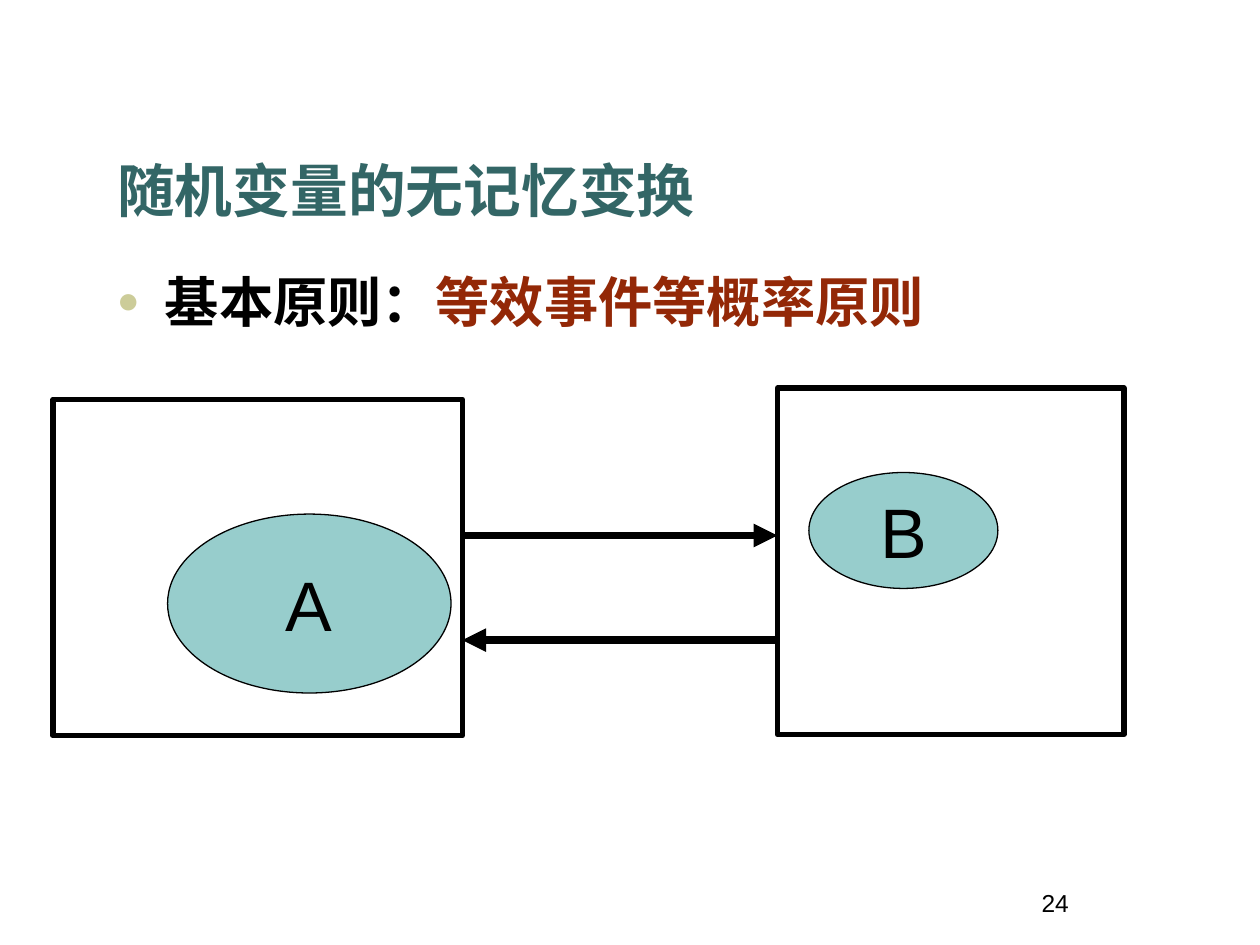
from dataclasses import dataclass

from lxml import etree
from pptx import Presentation
from pptx.dml.color import RGBColor
from pptx.enum.shapes import MSO_CONNECTOR, MSO_SHAPE
from pptx.enum.text import MSO_ANCHOR, PP_ALIGN
from pptx.oxml.ns import qn
from pptx.util import Inches, Pt

OVAL, RECT = MSO_SHAPE.OVAL, MSO_SHAPE.RECTANGLE
LINE = MSO_CONNECTOR.STRAIGHT
TOP, MID, LOW = MSO_ANCHOR.TOP, MSO_ANCHOR.MIDDLE, MSO_ANCHOR.BOTTOM
LEFT, CENTER = PP_ALIGN.LEFT, PP_ALIGN.CENTER


@dataclass(frozen=True)
class Theme:
    ink: str = "000000"
    head: str = "336666"
    key: str = "932807"
    dot: str = "CCCC99"
    oval: str = "97CDCC"
    font: str = "Arial"
    title_font: str = "Montserrat"
    title: int = 33
    body: int = 31
    label: int = 40
    page: int = 14


THEME = Theme()
TITLE = "随机变量的无记忆变换"
RULE = [("基本原则：", THEME.ink), ("等效事件等概率原则", THEME.key)]
PAGE = "24"
SETS = [("A", (1.33, 4.08, 2.25, 1.42)), ("B", (6.42, 3.75, 1.5, 0.92))]
SPACES = [(0.42, 3.17, 3.25, 2.67), (6.17, 3.08, 2.75, 2.75)]
NEAR = SPACES[0][0] + SPACES[0][2]
FAR = SPACES[1][0]
ARROWS = [(NEAR, FAR, 4.25), (FAR, NEAR, 5.08)]


def inches(box):
    return [Inches(v) for v in box]


def color(code):
    return RGBColor.from_string(code)


def write(frame, runs, size, font=THEME.font, bold=False, align=LEFT,
          anchor=TOP, wrap=True, dot=False):
    frame.word_wrap = wrap
    frame.vertical_anchor = anchor
    para = frame.paragraphs[0]
    para.alignment = align
    if dot:
        add_dot(para)
    para.font.size = Pt(size)
    para.font.name = font
    para.font.bold = bold
    for text, code in runs:
        run = para.add_run()
        run.text = text
        run.font.color.rgb = color(code)


def add_dot(para):
    props = para._p.get_or_add_pPr()
    props.set("marL", str(Inches(0.38)))
    props.set("indent", str(-Inches(0.38)))
    tint = etree.SubElement(props, qn("a:buClr"))
    etree.SubElement(tint, qn("a:srgbClr"), val=THEME.dot)
    etree.SubElement(props, qn("a:buSzPct"), val="70000")
    etree.SubElement(props, qn("a:buFont"), typeface=THEME.font)
    etree.SubElement(props, qn("a:buChar"), char="●")


def add_shape(slide, kind, box, width, fill=None):
    shape = slide.shapes.add_shape(kind, *inches(box))
    shape.shadow.inherit = False
    if fill:
        shape.fill.solid()
        shape.fill.fore_color.rgb = color(fill)
    else:
        shape.fill.background()
    shape.line.color.rgb = color(THEME.ink)
    shape.line.width = Pt(width)
    return shape


def add_arrow(slide, start, end, y):
    arrow = slide.shapes.add_connector(LINE, *inches((start, y, end, y)))
    arrow.line.color.rgb = color(THEME.ink)
    arrow.line.width = Pt(4.5)
    etree.SubElement(arrow.line._get_or_add_ln(), qn("a:tailEnd"), type="triangle")
    etree.SubElement(arrow._element.spPr, qn("a:effectLst"))


def main():
    deck = Presentation()
    deck.slide_width, deck.slide_height = inches((10, 7.5))
    slide = deck.slides.add_slide(deck.slide_layouts[5])

    title = slide.shapes.title
    title.left, title.top, title.width, title.height = inches((0.83, 0.58, 8.42, 1.25))
    write(title.text_frame, [(TITLE, THEME.head)], THEME.title,
          THEME.title_font, bold=True, anchor=LOW)

    body = slide.shapes.add_textbox(*inches((0.83, 2.08, 8.42, 4.42)))
    write(body.text_frame, RULE, THEME.body, bold=True, dot=True)

    page = slide.shapes.add_textbox(*inches((7.5, 7, 1.75, 0.5)))
    write(page.text_frame, [(PAGE, THEME.ink)], THEME.page, align=CENTER)

    for name, box in SETS:
        oval = add_shape(slide, OVAL, box, 0.75, THEME.oval)
        write(oval.text_frame, [(name, THEME.ink)], THEME.label,
              align=CENTER, anchor=MID, wrap=False)
    for arrow in ARROWS:
        add_arrow(slide, *arrow)
    for box in SPACES:
        add_shape(slide, RECT, box, 3)

    deck.save("out.pptx")


if __name__ == "__main__":
    main()
